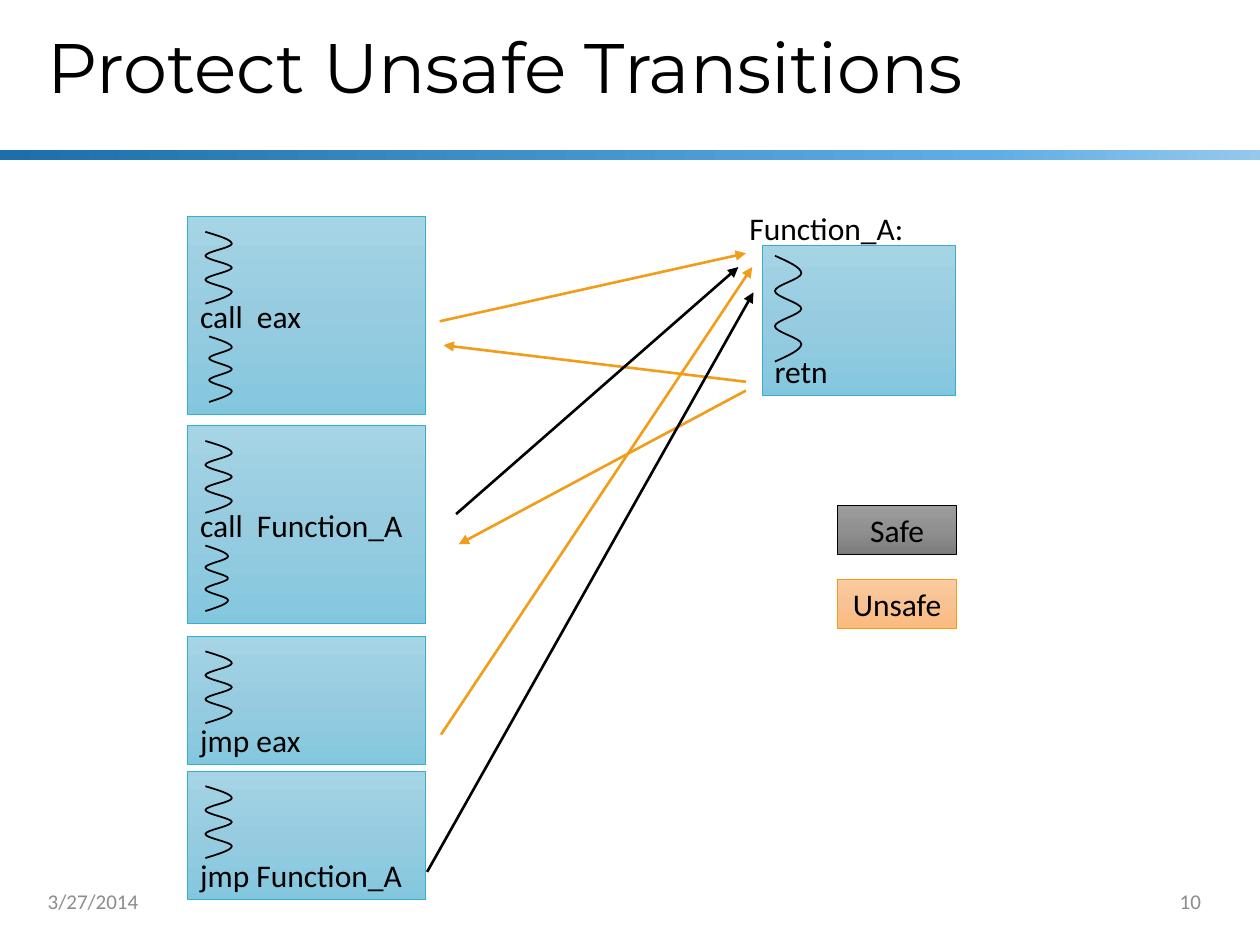
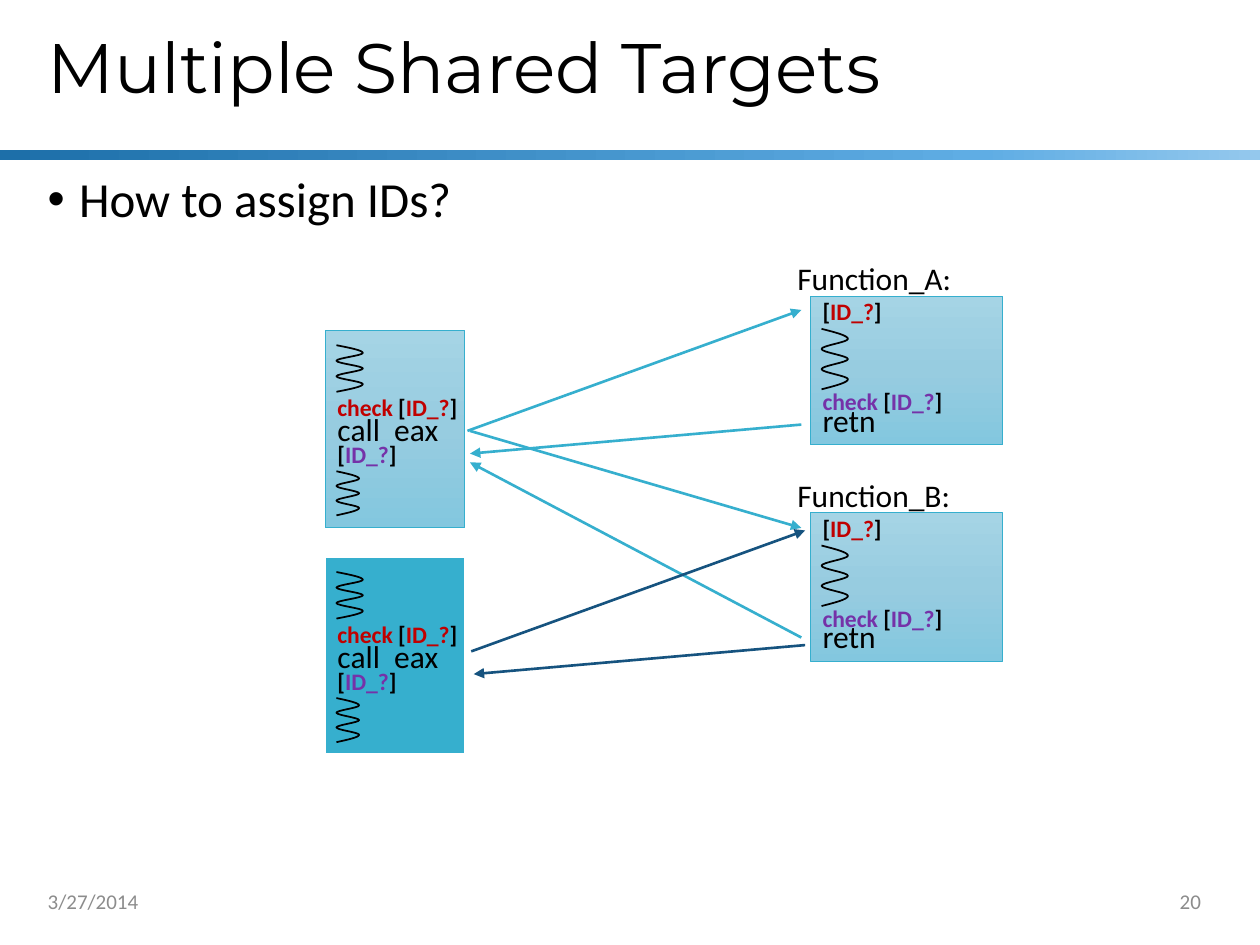
from lxml.etree import SubElement
from pptx import Presentation
from pptx.dml.color import RGBColor
from pptx.enum.shapes import MSO_CONNECTOR, MSO_SHAPE
from pptx.enum.text import MSO_ANCHOR, MSO_AUTO_SIZE, PP_ALIGN
from pptx.oxml.ns import qn
from pptx.util import Inches, Pt

BLACK, WHITE, GRAY = "000000", "FFFFFF", "8C8C8C"
TEAL, NAVY, ORANGE = "36AFCE", "16537F", "F19D19"
RED, PURPLE = "C00000", "7532A8"
BAND_STOPS = [(0, "1D6FA9"), (78, "5FADE4"), (100, "94C8ED")]
TEAL_STOPS = [(0, "A5D4E5"), (50, "97CCE0"), (100, "83C7DF")]
GRAY_STOPS = [(0, "9D9D9D"), (50, "909090"), (100, "7C7C7C")]
ORANGE_STOPS = [(0, "FACBA0"), (50, "F8C292"), (100, "FCBA7D")]
BODY_FONT, TITLE_FONT = "Calibri", "Montserrat"
LEFT, CONTENT_WIDTH = 0.28, 9.35
DATE = "3/27/2014"
CODE_SIZE, ID_SIZE = 18, 13.5


def color(hex_code):
    return RGBColor.from_string(hex_code)


def apply(target, **values):
    for attribute, value in values.items():
        setattr(target, attribute, value)


def inches(*lengths):
    return [Inches(length) for length in lengths]


def write(frame, runs, size, font=BODY_FONT, bold=False, align=PP_ALIGN.LEFT, **frame_values):
    """Fill the first paragraph with (text, colour) runs."""
    apply(frame, **frame_values)
    paragraph = frame.paragraphs[0]
    paragraph.alignment = align
    for text, hex_code in runs:
        run = paragraph.add_run()
        run.text = text
        apply(run.font, name=font, size=Pt(size), bold=bold)
        run.font.color.rgb = color(hex_code)
    return paragraph


def add_text(slide, area, runs, size, **values):
    textbox = slide.shapes.add_textbox(*inches(*area))
    return write(textbox.text_frame, runs, size, **{"word_wrap": True, **values})


def add_label(slide, x, y, width, height, runs, size, bold=False):
    """Add a one-line text that keeps to its own width."""
    add_text(slide, (x, y, width, height), runs, size, bold=bold,
             word_wrap=False, auto_size=MSO_AUTO_SIZE.SHAPE_TO_FIT_TEXT)


def fill_gradient(shape, stops, degrees):
    shape.fill.gradient()
    gradient = shape.element.spPr.find(qn("a:gradFill"))
    stop_list = gradient.find(qn("a:gsLst"))
    for default_stop in list(stop_list):
        stop_list.remove(default_stop)
    for percent, hex_code in stops:
        stop = SubElement(stop_list, qn("a:gs"), pos=str(percent * 1000))
        SubElement(stop, qn("a:srgbClr"), val=hex_code)
    gradient.find(qn("a:lin")).set("ang", str(degrees * 60000))


def add_box(slide, area, text="", stops=TEAL_STOPS, fill=None, line=TEAL,
            line_width=0.5, anchor=MSO_ANCHOR.MIDDLE, align=PP_ALIGN.LEFT):
    box = slide.shapes.add_shape(MSO_SHAPE.RECTANGLE, *inches(*area))
    box.shadow.inherit = False
    if fill:
        box.fill.solid()
        box.fill.fore_color.rgb = color(fill)
    else:
        fill_gradient(box, stops, 90)
    box.line.color.rgb = color(line)
    box.line.width = Pt(line_width)
    write(box.text_frame, [(text, BLACK)], CODE_SIZE, align=align,
          word_wrap=True, vertical_anchor=anchor)


def add_squiggle(slide, x, y, width, height):
    """Draw the wavy line that stands for other code, as six curves."""
    left, top, wide, high = inches(x, y, width, height)
    ends = [(wide * (step % 2), high * step // 6) for step in range(7)]
    builder = slide.shapes.build_freeform(0, 0)
    builder.add_line_segments(ends[1:], close=False)
    squiggle = builder.convert_to_shape(left, top)
    squiggle.shadow.inherit = False
    squiggle.fill.background()
    squiggle.line.color.rgb = color(BLACK)
    squiggle.line.width = Pt(1)

    segments = list(squiggle.element.iter(qn("a:lnTo")))
    for step, segment in enumerate(segments):
        (x1, y1), (x2, y2) = ends[step:step + 2]
        control_1 = wide // 2 if step == 0 else x1
        control_2 = wide // 2 if step == 5 else x2
        curve = SubElement(segment.getparent(), qn("a:cubicBezTo"))
        for px, py in ((control_1, (2 * y1 + y2) // 3),
                       (control_2, (y1 + 2 * y2) // 3), (x2, y2)):
            SubElement(curve, qn("a:pt"), x=str(px), y=str(py))
        segment.getparent().replace(segment, curve)


def add_arrow(slide, start, end, hex_code):
    arrow = slide.shapes.add_connector(MSO_CONNECTOR.STRAIGHT, *inches(*start, *end))
    arrow.line.color.rgb = color(hex_code)
    arrow.line.width = Pt(1.5)
    SubElement(arrow.line._get_or_add_ln(), qn("a:tailEnd"), type="triangle")
    SubElement(arrow.element.spPr, qn("a:effectLst"))


def add_base_slide(deck, title, number):
    """Add a slide with the title, band, date and number that all slides share."""
    slide = deck.slides.add_slide(deck.slide_layouts[5])
    band = slide.shapes.add_shape(MSO_SHAPE.RECTANGLE, *inches(0, 1.19, 10, 0.08))
    band.shadow.inherit = False
    band.line.fill.background()
    fill_gradient(band, BAND_STOPS, 0)

    heading = slide.shapes.title
    apply(heading, left=Inches(LEFT), top=0, width=Inches(CONTENT_WIDTH), height=Inches(1.13))
    paragraph = write(heading.text_frame, [(title, BLACK)], 40, font=TITLE_FONT, word_wrap=True,
                      auto_size=MSO_AUTO_SIZE.NONE, vertical_anchor=MSO_ANCHOR.MIDDLE)
    paragraph.line_spacing = 0.9

    for x, text, align in ((LEFT, DATE, PP_ALIGN.LEFT), (7.38, str(number), PP_ALIGN.RIGHT)):
        add_text(slide, (x, 6.95, 2.25, 0.4), [(text, GRAY)], 12, align=align,
                 vertical_anchor=MSO_ANCHOR.MIDDLE)
    return slide


def add_bullet(slide, text):
    paragraph = add_text(slide, (LEFT, 1.34, CONTENT_WIDTH, 5.42), [(text, BLACK)], 28)
    apply(paragraph, line_spacing=0.9, space_before=Pt(10))
    properties = paragraph._p.get_or_add_pPr()
    properties.set("marL", str(Inches(0.25)))
    properties.set("indent", str(Inches(-0.25)))
    SubElement(properties, qn("a:buFont"), typeface="Arial")
    SubElement(properties, qn("a:buChar"), char="•")


def add_function(slide, x, y, name, height):
    """Add a called function: its name above a box that ends in retn."""
    add_label(slide, x - 0.2, y - 0.34, 1.44, 0.4, [(f"{name}:", BLACK)], CODE_SIZE)
    add_box(slide, (x, y, 1.53, height), "retn", anchor=MSO_ANCHOR.BOTTOM)


def add_id(slide, x, y, hex_code):
    add_label(slide, x, y, 0.68, 0.33,
              [("[", BLACK), ("ID_?", hex_code), ("]", BLACK)], ID_SIZE, bold=True)


def add_check(slide, x, y, hex_code):
    runs = [("check ", hex_code), ("[", BLACK), ("ID_?", hex_code), ("]", BLACK)]
    add_label(slide, x, y, 1.16, 0.33, runs, ID_SIZE, bold=True)


def add_checked_caller(slide, y, **box_style):
    x = 2.58
    add_box(slide, (x, y, 1.11, 1.57), "call  eax", **box_style)
    add_squiggle(slide, x + 0.09, y + 0.12, 0.21, 0.37)
    add_squiggle(slide, x + 0.09, y + 1.12, 0.18, 0.35)
    add_id(slide, x, y + 0.82, PURPLE)
    add_check(slide, x, y + 0.45, RED)


def add_checked_function(slide, y, name):
    x = 6.43
    add_function(slide, x, y, name, 1.18)
    add_squiggle(slide, x + 0.09, y + 0.26, 0.21, 0.48)
    add_id(slide, x, y - 0.04, RED)
    add_check(slide, x, y + 0.67, PURPLE)


def build_transitions(deck):
    slide = add_base_slide(deck, "Protect Unsafe Transitions", 10)
    add_function(slide, 6.05, 1.95, "Function_A", 1.19)
    add_squiggle(slide, 6.15, 2.03, 0.21, 0.84)

    caller_x = 1.49
    calls = [(1.72, "call  eax", 0.17), (3.38, "call  Function_A", 0.14)]
    for y, code, lower_indent in calls:
        add_box(slide, (caller_x, y, 1.89, 1.57), code)
        add_squiggle(slide, caller_x + 0.14, y + 0.12, 0.21, 0.57)
        add_squiggle(slide, caller_x + lower_indent, y + 0.95, 0.18, 0.52)
    for y, code in ((5.05, "jmp eax"), (6.12, "jmp Function_A")):
        add_box(slide, (caller_x, y, 1.89, 1.02), code, anchor=MSO_ANCHOR.BOTTOM)
        add_squiggle(slide, caller_x + 0.14, y + 0.12, 0.21, 0.57)

    legend = [(4.01, "Safe", GRAY_STOPS, BLACK), (4.6, "Unsafe", ORANGE_STOPS, ORANGE)]
    for y, meaning, stops, line in legend:
        add_box(slide, (6.65, y, 0.94, 0.39), meaning, stops, line=line, align=PP_ALIGN.CENTER)

    transitions = [
        ((3.49, 2.55), (5.92, 2.01), ORANGE),
        ((5.92, 3.03), (3.52, 2.74), ORANGE),
        ((5.92, 3.1), (3.64, 4.32), ORANGE),
        ((3.5, 5.83), (5.97, 2.12), ORANGE),
        ((3.62, 4.08), (5.86, 2.12), BLACK),
        ((3.39, 6.92), (5.98, 2.32), BLACK),
    ]
    for start, end, hex_code in transitions:
        add_arrow(slide, start, end, hex_code)


def build_shared_targets(deck):
    slide = add_base_slide(deck, "Multiple Shared Targets", 20)
    add_bullet(slide, "How to assign IDs?")
    add_checked_caller(slide, 2.62)
    add_checked_caller(slide, 4.42, fill=TEAL, line=WHITE, line_width=1.5)
    add_checked_function(slide, 2.35, "Function_A")
    add_checked_function(slide, 4.07, "Function_B")

    transitions = [
        ((3.71, 3.42), (6.36, 2.46), TEAL),
        ((6.36, 3.37), (3.73, 3.6), TEAL),
        ((3.73, 3.42), (6.36, 4.19), TEAL),
        ((6.36, 5.06), (3.73, 3.67), TEAL),
        ((3.74, 5.17), (6.39, 4.21), NAVY),
        ((6.39, 5.12), (3.76, 5.35), NAVY),
    ]
    for start, end, hex_code in transitions:
        add_arrow(slide, start, end, hex_code)


def main():
    deck = Presentation()
    apply(deck, slide_width=Inches(10), slide_height=Inches(7.5))
    build_transitions(deck)
    build_shared_targets(deck)
    deck.save("out.pptx")


if __name__ == "__main__":
    main()
